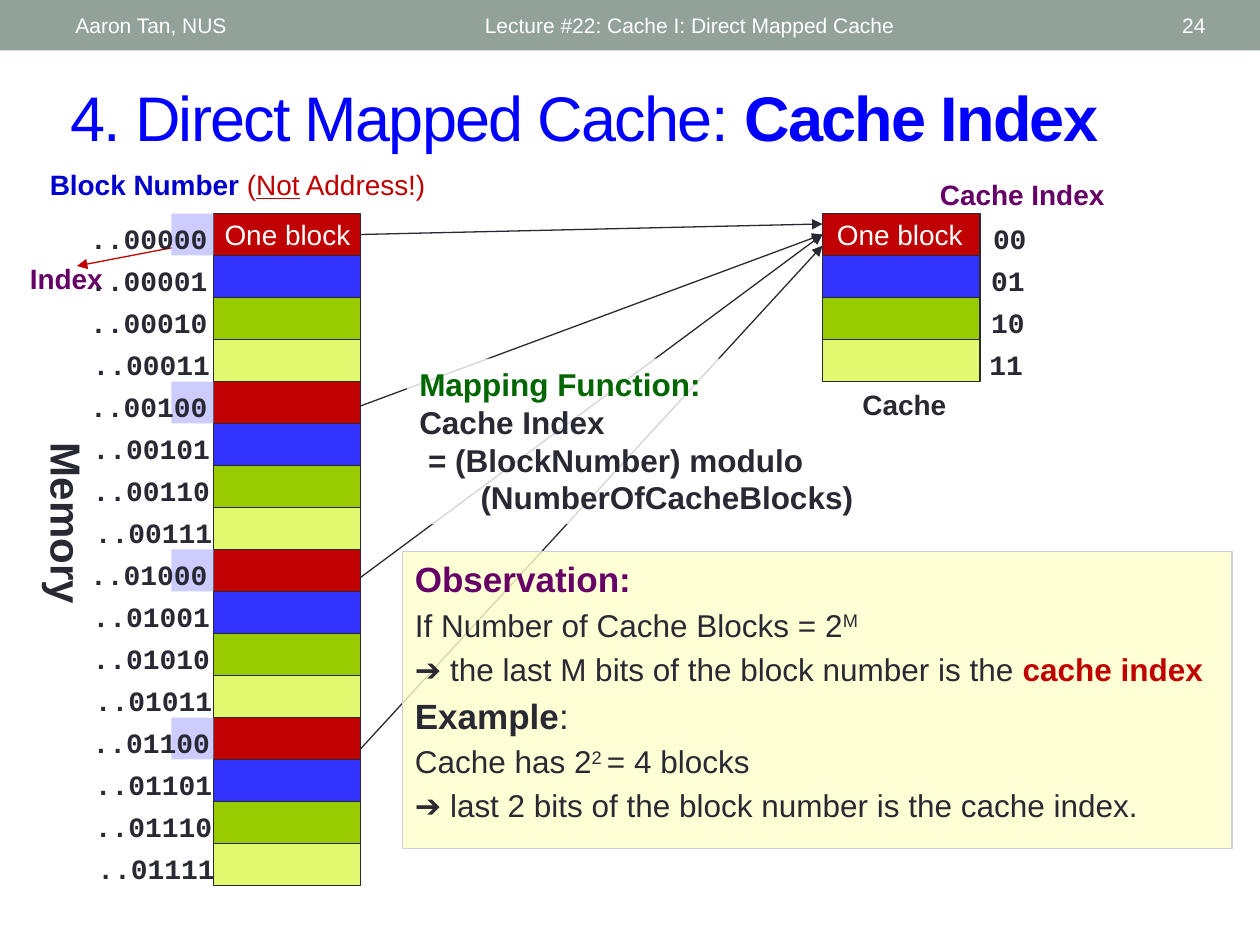
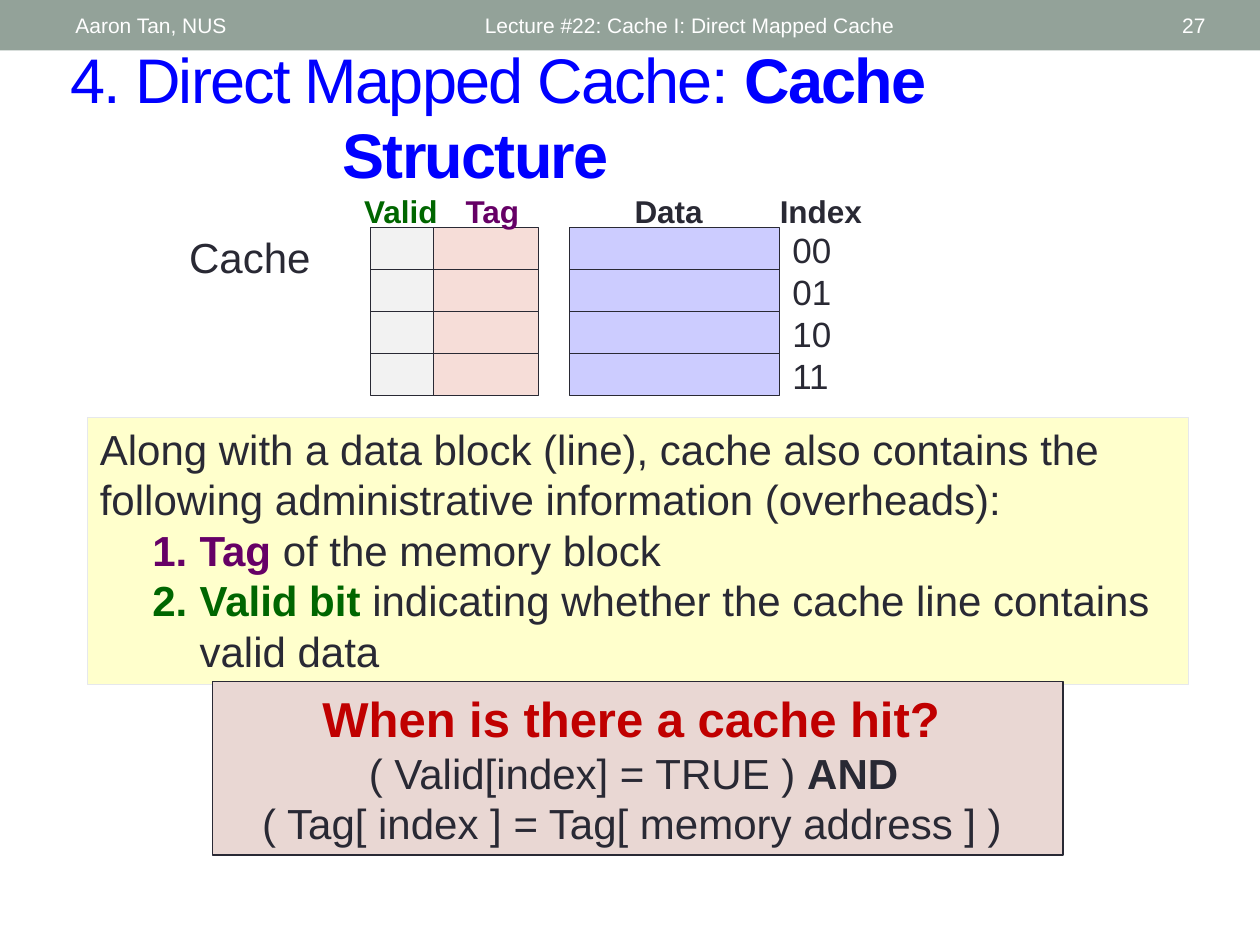
from dataclasses import dataclass

import pptx
import pptx.dml.color
import pptx.enum.shapes
import pptx.enum.text
import pptx.oxml
import pptx.oxml.ns
import pptx.util

Pt = pptx.util.Pt
ALIGN = pptx.enum.text.PP_ALIGN
ANCHOR = pptx.enum.text.MSO_ANCHOR

SANS, MONO = "Arial", "Courier New"
INK, WHITE, BAND = "292934", "FFFFFF", "93A299"
TITLE_BLUE, NUMBER_BLUE = "0000FF", "0000CC"
GREEN, PURPLE, RED = "006600", "660066", "C00000"
NOTE_YELLOW, LAVENDER = "FFFFCC", "CCCCFF"
BLOCK_COLOURS = [RED, "3333FF", "99CC00", "E2F96F"]
ROW = 24
INDEXES = ["00", "01", "10", "11"]


@dataclass
class Piece:
    text: str
    size: float = 18
    colour: str = INK
    bold: bool = False
    font: str = SANS
    underline: bool = False
    raised: bool = False
    spacing: int = 0


def rgb(colour):
    return pptx.dml.color.RGBColor.from_string(colour)


def style_span(span, piece):
    span.font.size = Pt(piece.size)
    span.font.name = piece.font
    span.font.bold = piece.bold
    span.font.color.rgb = rgb(piece.colour)
    if piece.underline:
        span.font.underline = True
    properties = span._r.get_or_add_rPr()
    if piece.raised:
        properties.set("baseline", "30000")
    if piece.spacing:
        properties.set("spc", str(piece.spacing))


def write_para(para, pieces, align):
    para.text = pieces[0].text
    for piece in pieces[1:]:
        para.add_run().text = piece.text
    for span, piece in zip(para.runs, pieces):
        style_span(span, piece)
    para.alignment = align


def write_lines(box, lines, align=ALIGN.LEFT, anchor=ANCHOR.TOP, wrap=True, gap=0):
    frame = box.text_frame
    frame.word_wrap = wrap
    frame.vertical_anchor = anchor
    for number, pieces in enumerate(lines):
        para = frame.add_paragraph() if number else frame.paragraphs[0]
        write_para(para, pieces, align)
        if number and gap:
            para.space_before = Pt(gap)
    return frame.paragraphs


def indent_para(para, margin, hanging=0, numbered=False):
    properties = para._p.get_or_add_pPr()
    properties.set("marL", str(Pt(margin)))
    properties.set("indent", str(Pt(-hanging)))
    if numbered:
        bullet = pptx.oxml.parse_xml(
            f'<a:buAutoNum {pptx.oxml.ns.nsdecls("a")} type="arabicPeriod"/>')
        properties.append(bullet)


def add_label(page, place, *pieces, align=ALIGN.CENTER, anchor=ANCHOR.TOP, wrap=False):
    box = page.shapes.add_textbox(*map(Pt, place))
    write_lines(box, [pieces], align, anchor, wrap)
    return box


def add_rect(page, place, fill, line=None, opacity=100):
    rectangle = pptx.enum.shapes.MSO_SHAPE.RECTANGLE
    box = page.shapes.add_shape(rectangle, *map(Pt, place))
    box.shadow.inherit = False
    box.fill.solid()
    box.fill.fore_color.rgb = rgb(fill)
    if opacity < 100:
        colour = box._element.spPr.find(".//" + pptx.oxml.ns.qn("a:srgbClr"))
        colour.append(pptx.oxml.parse_xml(
            f'<a:alpha {pptx.oxml.ns.nsdecls("a")} val="{opacity * 1000}"/>'))
    if line:
        box.line.color.rgb = rgb(line)
        box.line.width = Pt(0.75)
    else:
        box.line.fill.background()
    return box


def add_column(page, left, top, width, fills):
    return [add_rect(page, (left, top + ROW * row, width, ROW), fill, INK)
            for row, fill in enumerate(fills)]


def add_arrow(page, start, end, colour=INK):
    straight = pptx.enum.shapes.MSO_CONNECTOR.STRAIGHT
    arrow = page.shapes.add_connector(straight, *map(Pt, start + end))
    arrow.line.color.rgb = rgb(colour)
    arrow.line.width = Pt(0.75)
    names = pptx.oxml.ns.nsdecls("a")
    arrow.line._get_or_add_ln().append(
        pptx.oxml.parse_xml(f'<a:tailEnd {names} type="triangle"/>'))
    arrow._element.spPr.append(pptx.oxml.parse_xml(f"<a:effectLst {names}/>"))
    return arrow


def start_page(deck, topic, number):
    page = deck.slides.add_slide(deck.slide_layouts[5])
    add_rect(page, (0, 0, 720, 28.8), BAND)
    title = page.shapes.title
    title.left, title.top, title.width, title.height = map(Pt, (33, 41, 663, 50.4))
    heading = [Piece("4. Direct Mapped Cache: ", 36, TITLE_BLUE, spacing=-100),
               Piece(topic, 36, TITLE_BLUE, True, spacing=-100)]
    lines = write_lines(title, [heading], anchor=ANCHOR.MIDDLE)
    title.text_frame.auto_size = pptx.enum.text.MSO_AUTO_SIZE.NONE
    indent_para(lines[0], 155.5, 155.5)
    for text, left, width, align in [
            ("Lecture #22: Cache I: Direct Mapped Cache", 270, 324, ALIGN.LEFT),
            (str(number), 627.5, 68.4, ALIGN.RIGHT),
            ("Aaron Tan, NUS", 36, 228, ALIGN.LEFT)]:
        add_label(page, (left, 1.4, width, 26), Piece(text, 12, WHITE),
                  align=align, anchor=ANCHOR.MIDDLE, wrap=True)
    return page


def add_memory(page, left, top):
    blocks = add_column(page, left, top, 84, BLOCK_COLOURS * 4)
    for row in range(0, 16, 4):
        add_rect(page, (left - ROW, top + ROW * row, ROW, ROW), LAVENDER)
    for row in range(16):
        bits = f"{row:05b}"
        shift = 1.4 * max(bits.count("1") - 1, 0)
        add_label(page, (44 + shift, top + 0.8 + ROW * row, 82, 26.6),
                  Piece(".." + bits, 16, bold=True, font=MONO))
    add_label(page, (20, 92, 236, 26.6),
              Piece("Block Number ", 16, NUMBER_BLUE, True), Piece("(", 16, RED),
              Piece("Not", 16, RED, underline=True), Piece(" Address!) ", 16, RED))
    memory = add_label(page, (-15, 281, 107, 36), Piece("Memory", 24, bold=True))
    memory.rotation = 90
    add_label(page, (109.5, 121, 109.5, 26.6), Piece("One block", 16, WHITE), wrap=True)
    return blocks


def add_cache(page, left, top):
    blocks = add_column(page, left, top, 90, BLOCK_COLOURS)
    for row, bits in enumerate(INDEXES):
        add_label(page, (560 - bits.count("1"), top + 0.8 + ROW * row, 34, 26.6),
                  Piece(bits, 16, bold=True, font=MONO))
    add_label(page, (529.4, 98, 109.5, 26.6), Piece("Cache Index", 16, PURPLE, True))
    add_label(page, (485.5, 218, 62.5, 26.6), Piece("Cache", 16, bold=True))
    add_label(page, (459.4, 120.5, 109.5, 26.6), Piece("One block", 16, WHITE), wrap=True)
    return blocks


def add_mapping_function(page):
    mapping = add_rect(page, (232.5, 205, 264.5, 94.5), WHITE, opacity=80)
    lines = write_lines(mapping, [
        [Piece("Mapping Function:", colour=GREEN, bold=True)],
        [Piece("Cache Index", bold=True)],
        [Piece("= (BlockNumber) modulo", bold=True)],
        [Piece("(NumberOfCacheBlocks)", bold=True)]])
    indent_para(lines[2], 5)
    indent_para(lines[3], 35)


def add_observation(page):
    observation = add_rect(page, (230, 315, 474, 170), NOTE_YELLOW, "CCD1D9", 80)
    write_lines(observation, [
        [Piece("Observation:", 20, PURPLE, True)],
        [Piece("If Number of Cache Blocks = 2"), Piece("M", raised=True)],
        [Piece("➔ the last M bits of the block number is the "),
         Piece("cache index", colour=RED, bold=True)],
        [Piece("Example", 20, bold=True), Piece(":", 20)],
        [Piece("Cache has 2"), Piece("2 ", raised=True), Piece("= 4 blocks")],
        [Piece("➔ last 2 bits of the block number is the cache index.")]], gap=3.6)


def build_index_page(deck):
    page = start_page(deck, "Cache Index", 24)
    add_label(page, (9.4, 146, 57, 26.6), Piece("Index", 16, PURPLE, True))
    add_arrow(page, (104.4, 140.4), (44, 152), RED)
    top = 122
    memory = add_memory(page, 122, top)
    arrows = [add_arrow(page, (206, 134 + 98 * step), (470, end))
              for step, end in enumerate([128, 134, 134, 140.4])]
    add_mapping_function(page)
    add_observation(page)
    cache = add_cache(page, 470, top)
    arrows[0].begin_connect(memory[0], 3)
    for arrow in arrows[1:3]:
        arrow.end_connect(cache[0], 1)


def build_structure_page(deck):
    page = start_page(deck, "Cache Structure", 27)
    top = 130
    for left, width, fill in [(325.5, 120, LAVENDER), (247.7, 60, "F6DDD8"),
                              (211.7, 36, "F2F2F2")]:
        add_column(page, left, top, width, [fill] * 4)
    for text, left, width, colour in [
            ("Valid", 201, 64, GREEN), ("Tag", 259, 52, PURPLE),
            ("Data", 355.5, 60, INK), ("Index", 438.5, 68, INK)]:
        add_label(page, (left, 106, width, 26.6), Piece(text, 18, colour, True),
                  align=ALIGN.LEFT, wrap=True)
    for row, bits in enumerate(INDEXES):
        add_label(page, (445.7, top - 3 + ROW * row, 40, 26.6), Piece(bits, 20),
                  align=ALIGN.LEFT, wrap=True)
    add_label(page, (101, 129, 88, 36), Piece("Cache", 24), align=ALIGN.LEFT, wrap=True)

    overheads = add_rect(page, (50, 238.5, 629, 152.5), NOTE_YELLOW, "E6E8EC")
    lines = write_lines(overheads, [
        [Piece("Along with a data block (line), cache also contains the following "
               "administrative information (overheads):", 24)],
        [Piece("Tag ", 24, PURPLE, True), Piece("of the memory block", 24)],
        [Piece("Valid bit ", 24, GREEN, True),
         Piece("indicating whether the cache line contains valid data", 24)]])
    for para in lines[1:]:
        indent_para(para, 57, 27, numbered=True)

    hit = add_rect(page, (121.5, 389.5, 486, 99), "E9D7D3", INK)
    write_lines(hit, [
        [Piece("When is there a cache hit? ", 28, RED, True)],
        [Piece("( Valid[index] = TRUE ) ", 24), Piece("AND", 24, bold=True), Piece(" ")],
        [Piece("( Tag[ index ] = Tag[ memory address ] ) ", 24)]],
        ALIGN.CENTER, ANCHOR.MIDDLE)


def main():
    deck = pptx.Presentation()
    deck.slide_width, deck.slide_height = Pt(720), Pt(540)
    build_index_page(deck)
    build_structure_page(deck)
    deck.save("out.pptx")


if __name__ == "__main__":
    main()
